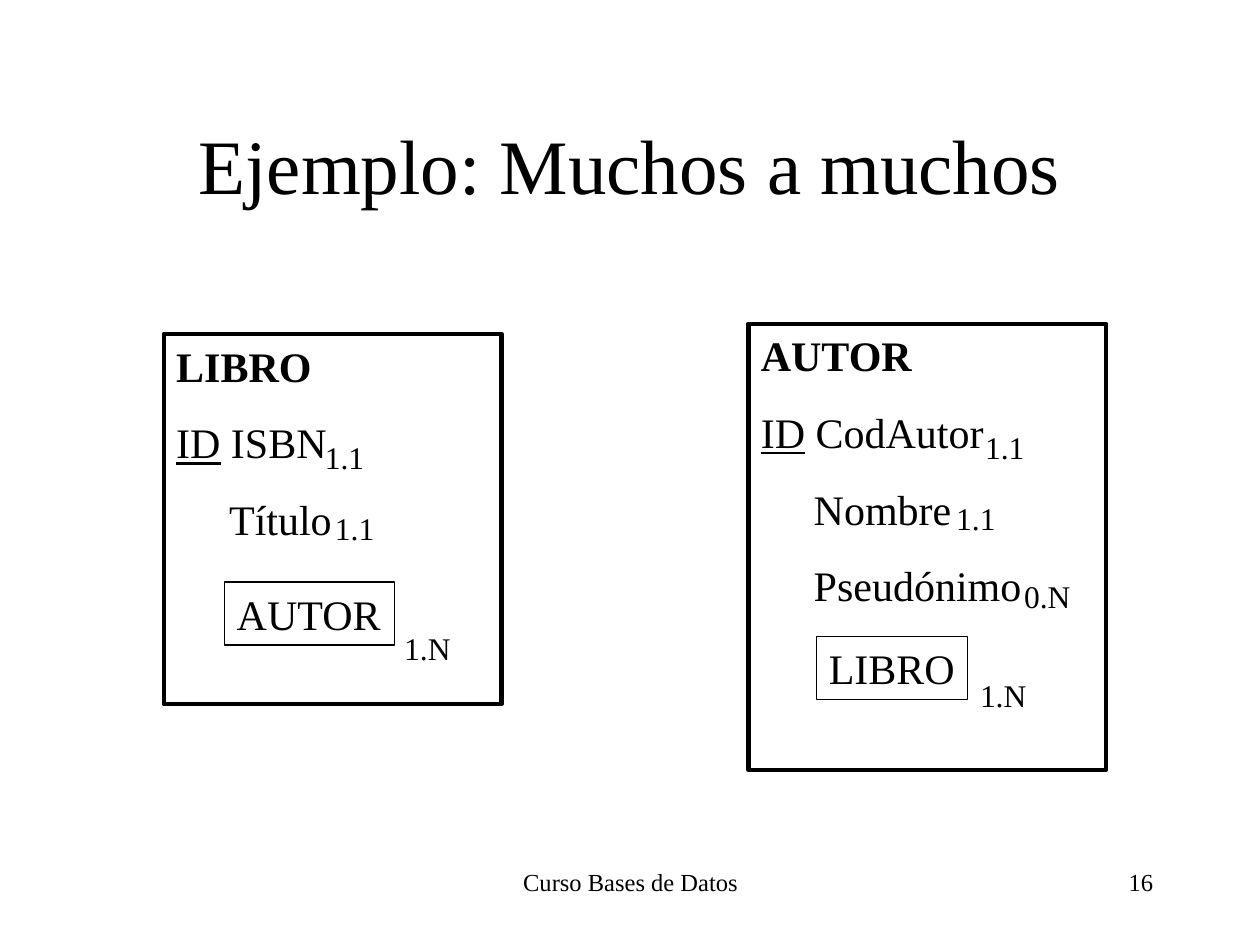
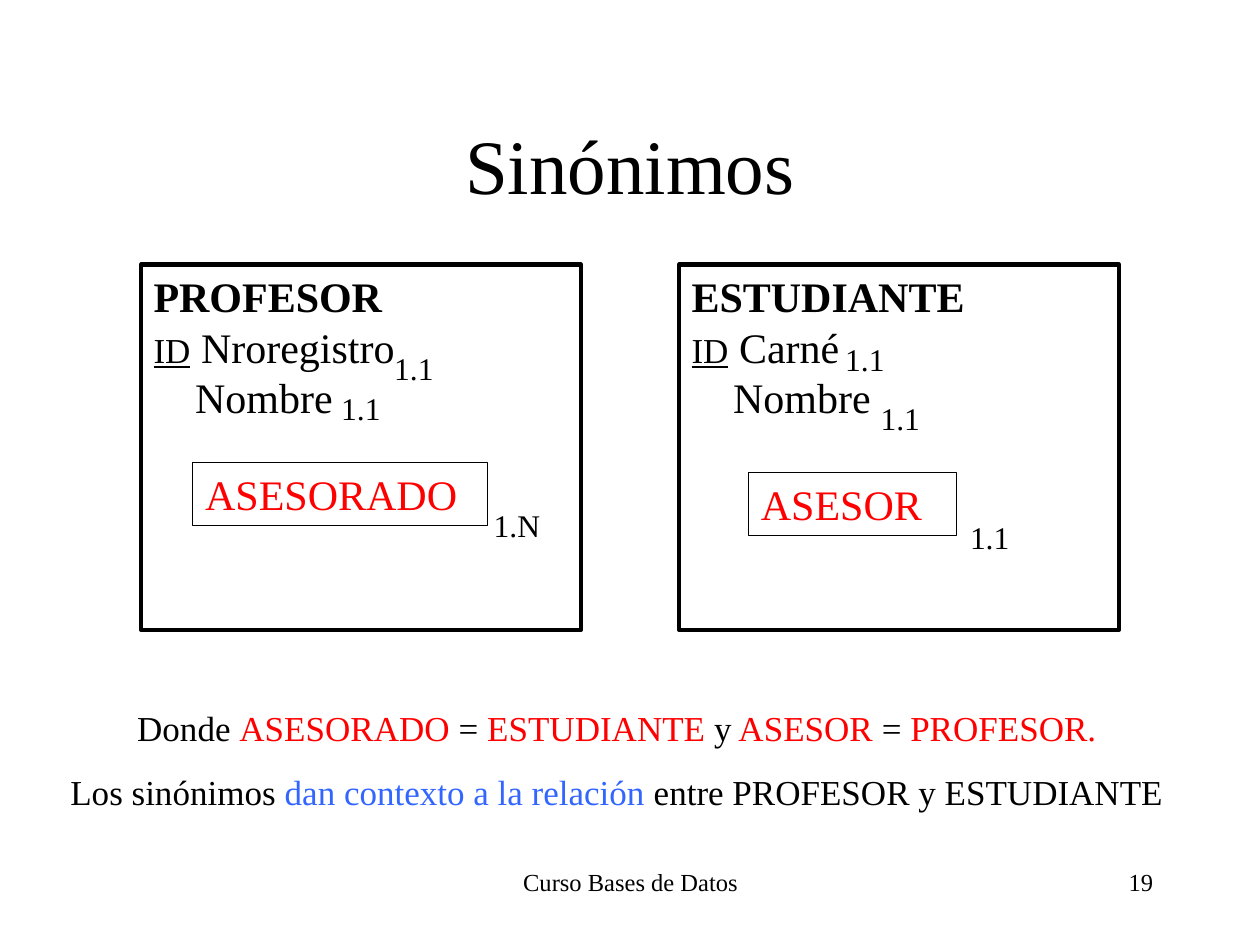
from dataclasses import dataclass
from typing import NamedTuple

import pptx
import pptx.dml.color
import pptx.enum.shapes
import pptx.enum.text
import pptx.util

RGBColor = pptx.dml.color.RGBColor
ALIGN = pptx.enum.text.PP_ALIGN
ANCHOR = pptx.enum.text.MSO_ANCHOR

BLACK = RGBColor(0x00, 0x00, 0x00)
RED = RGBColor(0xFF, 0x00, 0x00)
BLUE = RGBColor(0x33, 0x66, 0xFF)
FONT = "Times New Roman"
EMU_PER_PX = 9144  # 100 px to the inch

TITLE_SIZE, NAME_SIZE, NOTE_SIZE, MARK_SIZE, FOOTER_SIZE = 44, 24, 20, 18, 14
ENTITY_LINE, ROLE_LINE = 2.5, 0.75
ROLE_HEIGHT, MARK_HEIGHT = 50, 40


class Area(NamedTuple):
    left: int
    top: int
    width: int
    height: int


class Span(NamedTuple):
    text: str
    color: RGBColor | None = None
    size: int | None = None
    underline: bool | None = None


class Line(NamedTuple):
    spans: list[Span]
    size: int
    color: RGBColor = BLACK
    bold: bool = False
    align: ALIGN = ALIGN.LEFT
    before: float = 0
    indent: int = 0


class Role(NamedTuple):
    """Related entity, framed inside the entity that refers to it."""
    name: str
    left: int
    top: int
    width: int
    color: RGBColor = BLACK


class Cardinality(NamedTuple):
    text: str
    left: int
    top: int


@dataclass(frozen=True)
class EntityStyle:
    before: float
    id_size: int
    indent: int


@dataclass(frozen=True)
class Entity:
    name: str
    area: Area
    identifier: str
    attributes: list[str]
    role: Role
    cardinalities: list[Cardinality]


SPACED = EntityStyle(before=15, id_size=24, indent=42)
COMPACT = EntityStyle(before=0, id_size=20, indent=33)

TITLE_AREA = Area(75, 67, 850, 125)
COURSE_AREA = Area(342, 683, 317, 50)
NUMBER_AREA = Area(717, 683, 208, 50)
NOTE_AREA = Area(27, 556, 925, 94)

BOOK_AND_AUTHOR = [
    Entity("LIBRO", Area(130, 265, 268, 294), "ISBN", ["Título"],
           Role("AUTOR", 178, 462, 135),
           [Cardinality("1.1", 248, 343), Cardinality("1.1", 256, 399),
            Cardinality("1.N", 311, 494)]),
    Entity("AUTOR", Area(594, 257, 284, 354), "CodAutor", ["Nombre", "Pseudónimo"],
           Role("LIBRO", 648, 505, 120),
           [Cardinality("1.1", 772, 335), Cardinality("1.1", 749, 391),
            Cardinality("0.N", 803, 453), Cardinality("1.N", 768, 532)]),
]
TEACHER_AND_STUDENT = [
    Entity("PROFESOR", Area(112, 210, 349, 290), "Nroregistro", ["Nombre"],
           Role("ASESORADO", 153, 367, 234, RED),
           [Cardinality("1.1", 303, 272), Cardinality("1.1", 261, 304),
            Cardinality("1.N", 382, 397)]),
    Entity("ESTUDIANTE", Area(539, 210, 349, 290), "Carné", ["Nombre"],
           Role("ASESOR", 594, 375, 165, RED),
           [Cardinality("1.1", 661, 265), Cardinality("1.1", 689, 312),
            Cardinality("1.1", 760, 406)]),
]
SYNONYM_NOTE = [
    [Span("Donde "), Span("ASESORADO ", RED), Span("="), Span(" ESTUDIANTE ", RED),
     Span("y"), Span(" ASESOR ", RED), Span("= "), Span("PROFESOR.", RED)],
    [Span("Los sinónimos "), Span("dan contexto a la relación", BLUE),
     Span(" entre PROFESOR y ESTUDIANTE")],
]


def px(length: int) -> pptx.util.Emu:
    return pptx.util.Emu(length * EMU_PER_PX)


def write(box, lines: list[Line], wrap: bool = True, anchor: ANCHOR = ANCHOR.TOP) -> None:
    frame = box.text_frame
    frame.word_wrap = wrap
    frame.vertical_anchor = anchor
    for index, line in enumerate(lines):
        para = frame.add_paragraph() if index else frame.paragraphs[0]
        para.alignment = line.align
        if index:
            para.space_before = pptx.util.Pt(line.before)
        if line.indent:
            para._p.get_or_add_pPr().set("marL", str(px(line.indent)))
        para.font.name = FONT
        para.font.size = pptx.util.Pt(line.size)
        para.font.bold = line.bold
        para.font.color.rgb = line.color
        for span in line.spans:
            run = para.add_run()
            run.text = span.text
            if span.color is not None:
                run.font.color.rgb = span.color
            if span.size is not None:
                run.font.size = pptx.util.Pt(span.size)
            if span.underline is not None:
                run.font.underline = span.underline


def add_text(page, area: Area, lines: list[Line], wrap: bool = True,
             anchor: ANCHOR = ANCHOR.TOP) -> None:
    write(page.shapes.add_textbox(*map(px, area)), lines, wrap, anchor)


def add_frame(page, area: Area, line_width: float, lines: list[Line]) -> None:
    """Draw an unfilled, outlined rectangle with text at its top left."""
    box = page.shapes.add_shape(pptx.enum.shapes.MSO_SHAPE.RECTANGLE, *map(px, area))
    box.shadow.inherit = False
    box.fill.background()
    box.line.color.rgb = BLACK
    box.line.width = pptx.util.Pt(line_width)
    write(box, lines)


def add_entity(page, entity: Entity, style: EntityStyle) -> None:
    identifier = [Span("ID", size=style.id_size, underline=True),
                  Span(f" {entity.identifier}")]
    lines = [Line([Span(entity.name)], NAME_SIZE, bold=True),
             Line(identifier, NAME_SIZE, before=style.before)]
    lines += [Line([Span(attribute)], NAME_SIZE, before=style.before, indent=style.indent)
              for attribute in entity.attributes]
    add_frame(page, entity.area, ENTITY_LINE, lines)

    role = entity.role
    add_frame(page, Area(role.left, role.top, role.width, ROLE_HEIGHT), ROLE_LINE,
              [Line([Span(role.name)], NAME_SIZE, role.color)])
    for mark in entity.cardinalities:
        width = 57 if mark.text.endswith("N") else 51
        add_text(page, Area(mark.left, mark.top, width, MARK_HEIGHT),
                 [Line([Span(mark.text)], MARK_SIZE)], wrap=False)


def add_page(deck, title: str, number: int, entities: list[Entity], style: EntityStyle):
    """Add a slide with its title, footer and entities."""
    page = deck.slides.add_slide(deck.slide_layouts[6])
    add_text(page, TITLE_AREA, [Line([Span(title)], TITLE_SIZE, align=ALIGN.CENTER)],
             anchor=ANCHOR.MIDDLE)
    add_text(page, COURSE_AREA,
             [Line([Span("Curso Bases de Datos")], FOOTER_SIZE, align=ALIGN.CENTER)])
    add_text(page, NUMBER_AREA,
             [Line([Span(str(number))], FOOTER_SIZE, align=ALIGN.RIGHT)])
    for entity in entities:
        add_entity(page, entity, style)
    return page


def main() -> None:
    deck = pptx.Presentation()
    deck.slide_width, deck.slide_height = px(1000), px(750)
    add_page(deck, "Ejemplo: Muchos a muchos", 16, BOOK_AND_AUTHOR, SPACED)
    synonyms = add_page(deck, "Sinónimos", 19, TEACHER_AND_STUDENT, COMPACT)
    add_text(synonyms, NOTE_AREA,
             [Line(spans, NOTE_SIZE, align=ALIGN.CENTER, before=12.5)
              for spans in SYNONYM_NOTE])
    deck.save("out.pptx")


if __name__ == "__main__":
    main()
